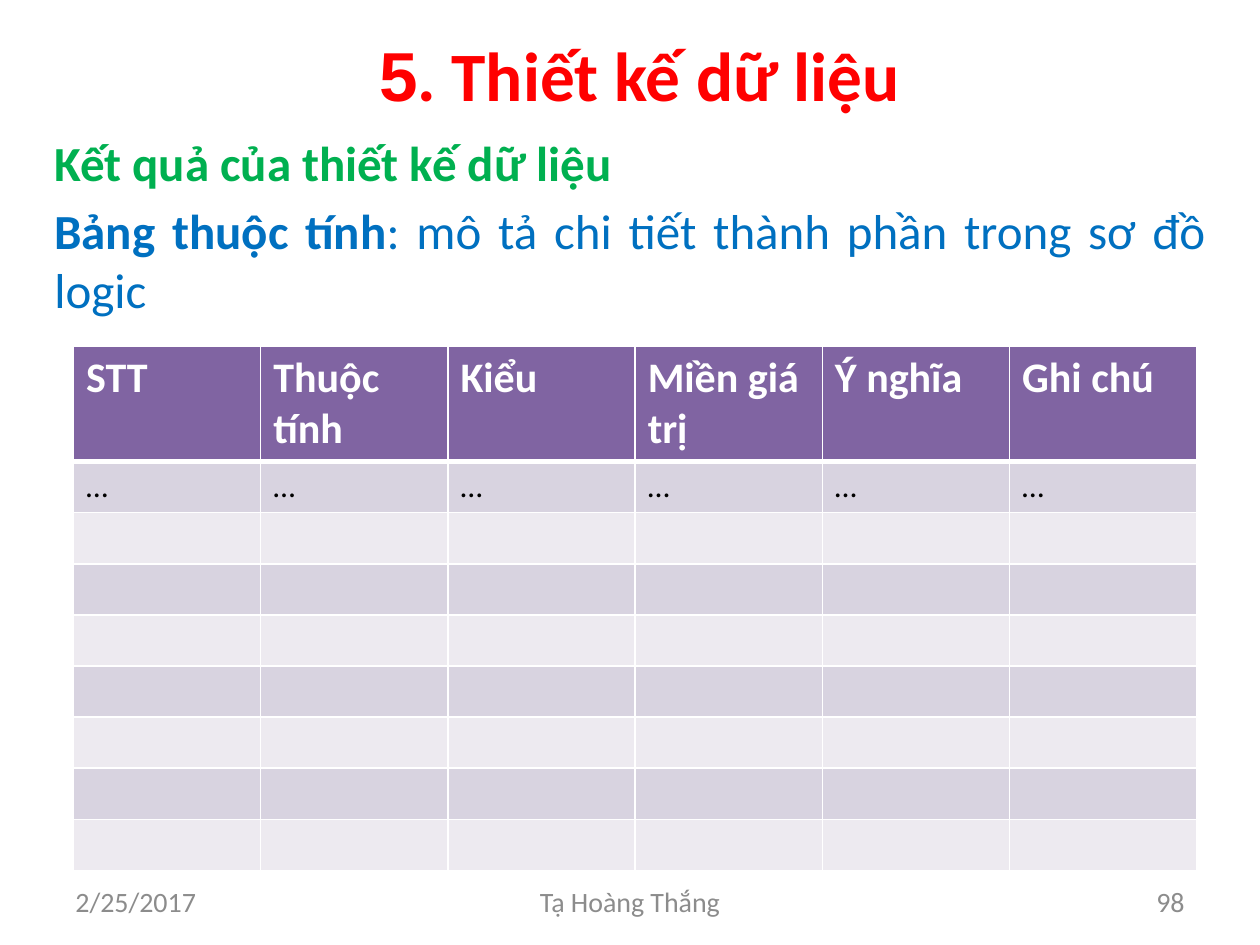
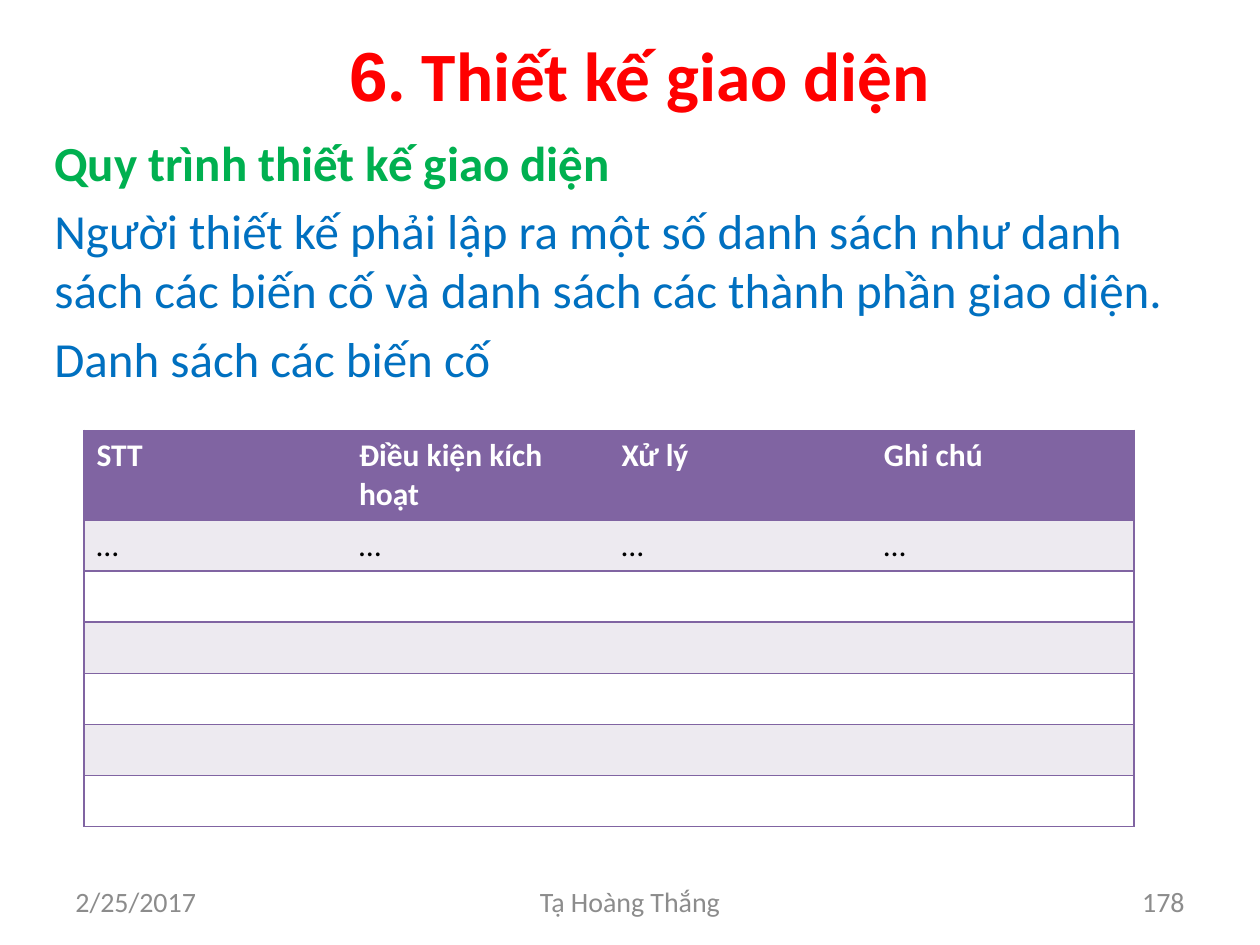
from dataclasses import dataclass
from typing import NamedTuple

from lxml.etree import SubElement
from pptx import Presentation
from pptx.dml.color import RGBColor
from pptx.enum.text import MSO_ANCHOR, MSO_AUTO_SIZE, PP_ALIGN
from pptx.oxml.ns import qn
from pptx.util import Inches, Pt

GRID = Inches(1) / 12  # the slide is 120 columns by 90 rows
RED, GREEN, BLUE, GREY = "FF0000", "00B050", "0070C0", "8C8C8C"
PURPLE, LILAC, PALE, WHITE, BLACK = "8064A2", "D8D3E0", "EDEAF0", "FFFFFF", "000000"
PLAIN_TABLE_STYLE = "{2D5ABB26-0587-4C30-8999-92F81FD0307C}"
BODY_ROW = 4.87


class Area(NamedTuple):
    left: float
    top: float
    width: float
    height: float


class Span(NamedTuple):
    text: str
    size: float
    color: str
    bold: bool = False
    font: str = "Calibri"


class Footer(NamedTuple):
    left: float
    width: float
    align: PP_ALIGN


class Border(NamedTuple):
    color: str
    width: float


@dataclass
class TableDesign:
    area: Area
    headings: list[str]
    heading_size: int
    heading_row: float
    body_rows: int
    bands: tuple[str, str]
    line: Border
    heading_line: Border
    inner_columns: bool


@dataclass
class Page:
    number: str
    title: str
    paragraphs: list[list[Span]]
    align: PP_ALIGN
    table: TableDesign


TITLE_AREA = Area(6, 3, 108, 8)
BODY_AREA = Area(4, 12, 112, 73)
DATE_FOOTER = Footer(6, 28, PP_ALIGN.LEFT)
AUTHOR_FOOTER = Footer(41, 38, PP_ALIGN.CENTER)
NUMBER_FOOTER = Footer(86, 28, PP_ALIGN.RIGHT)

PAGES = [
    Page(
        "98", "5. Thiết kế dữ liệu",
        [
            [Span("Kết quả của thiết kế dữ liệu", 28, GREEN, True)],
            [Span("Bảng thuộc tính", 28, BLUE, True),
             Span(": mô tả chi tiết thành phần trong sơ đồ logic", 28, BLUE)],
        ],
        PP_ALIGN.JUSTIFY,
        TableDesign(
            Area(7, 33, 107, 49.8),
            ["STT", "Thuộc tính", "Kiểu", "Miền giá trị", "Ý nghĩa", "Ghi chú"],
            24, 10.9, 8, (LILAC, PALE), Border(WHITE, 1), Border(WHITE, 3), True),
    ),
    Page(
        "178", "6. Thiết kế giao diện",
        [
            [Span("Quy trình thiết kế giao diện", 28, GREEN, True)],
            [Span("Người thiết kế phải lập ra một số danh sách như danh sách các "
                  "biến cố và danh sách các thành phần giao diện.", 28, BLUE)],
            [Span("Danh sách các biến cố", 28, BLUE)],
        ],
        PP_ALIGN.LEFT,
        TableDesign(
            Area(8, 41, 100, 37.7),
            ["STT", "Điều kiện kích hoạt", "Xử lý", "Ghi chú"],
            18, 8.5, 6, (PALE, WHITE), Border(PURPLE, 1), Border(PURPLE, 1), False),
    ),
]


def rgb(color: str) -> RGBColor:
    return RGBColor.from_string(color)


def grid(units: float) -> int:
    return round(units * GRID)


def place(area: Area) -> list[int]:
    return [grid(units) for units in area]


def add_span(para, span: Span) -> None:
    run = para.add_run()
    run.text = span.text
    run.font.name = span.font
    run.font.size = Pt(span.size)
    run.font.bold = span.bold
    run.font.color.rgb = rgb(span.color)


def fill_frame(frame, paragraphs: list[list[Span]], align: PP_ALIGN,
               anchor: MSO_ANCHOR) -> None:
    frame.word_wrap = True
    frame.auto_size = MSO_AUTO_SIZE.NONE
    frame.vertical_anchor = anchor
    for index, spans in enumerate(paragraphs):
        para = frame.add_paragraph() if index else frame.paragraphs[0]
        para.alignment = align
        if index:
            para.space_before = Pt(0.2 * spans[0].size)
        for span in spans:
            add_span(para, span)


def add_text(slide, area: Area, paragraphs: list[list[Span]], align: PP_ALIGN,
             anchor: MSO_ANCHOR = MSO_ANCHOR.TOP) -> None:
    box = slide.shapes.add_textbox(*place(area))
    fill_frame(box.text_frame, paragraphs, align, anchor)


def set_title(slide, text: str) -> None:
    """Put the heading in the title placeholder, its numeral in Arial."""
    title = slide.shapes.title
    title.left, title.top, title.width, title.height = place(TITLE_AREA)
    spans = [Span(" ", 39.6, RED, font="Arial"),
             Span(text[0], 39.6, RED, True, "Arial"),
             Span(text[1:], 39.6, RED, True)]
    fill_frame(title.text_frame, [spans], PP_ALIGN.CENTER, MSO_ANCHOR.MIDDLE)


def add_footer(slide, footer: Footer, text: str) -> None:
    add_text(slide, Area(footer.left, 83.4, footer.width, 4.8),
             [[Span(text, 16, GREY)]], footer.align, MSO_ANCHOR.MIDDLE)


def set_border(cell, side: str, border: Border) -> None:
    line = SubElement(cell._tc.get_or_add_tcPr(), qn(f"a:ln{side}"),
                      w=str(Pt(border.width)))
    fill = SubElement(line, qn("a:solidFill"))
    SubElement(fill, qn("a:srgbClr"), val=border.color)


def style_cell(cell, design: TableDesign, row: int, column: int) -> None:
    """Draw borders first, since they must precede the fill in the cell."""
    last = len(design.headings) - 1
    if column == 0 or design.inner_columns:
        set_border(cell, "L", design.line)
    if column == last or design.inner_columns:
        set_border(cell, "R", design.line)
    set_border(cell, "T", design.heading_line if row == 1 else design.line)
    set_border(cell, "B", design.heading_line if row == 0 else design.line)
    cell.fill.solid()
    cell.fill.fore_color.rgb = rgb(design.bands[(row - 1) % 2] if row else PURPLE)


def add_design_table(slide, design: TableDesign) -> None:
    count = len(design.headings)
    table = slide.shapes.add_table(
        design.body_rows + 1, count, *place(design.area)).table
    table.horz_banding = False
    table._tbl.tblPr.find(qn("a:tableStyleId")).text = PLAIN_TABLE_STYLE
    for column in table.columns:
        column.width = grid(design.area.width / count)
    for index, row in enumerate(table.rows):
        row.height = grid(BODY_ROW if index else design.heading_row)
        for position, cell in enumerate(row.cells):
            style_cell(cell, design, index, position)
            if index == 0:
                add_span(cell.text_frame.paragraphs[0],
                         Span(design.headings[position], design.heading_size, WHITE, True))
            elif index == 1:
                add_span(cell.text_frame.paragraphs[0], Span("…", 18, BLACK))


def add_page(deck, page: Page) -> None:
    slide = deck.slides.add_slide(deck.slide_layouts[5])
    set_title(slide, page.title)
    add_text(slide, BODY_AREA, page.paragraphs, page.align)
    add_footer(slide, DATE_FOOTER, "2/25/2017")
    add_footer(slide, AUTHOR_FOOTER, "Tạ Hoàng Thắng")
    add_footer(slide, NUMBER_FOOTER, page.number)
    add_design_table(slide, page.table)


def main() -> None:
    deck = Presentation()
    deck.slide_width, deck.slide_height = grid(120), grid(90)
    for page in PAGES:
        add_page(deck, page)
    deck.save("out.pptx")


if __name__ == "__main__":
    main()
